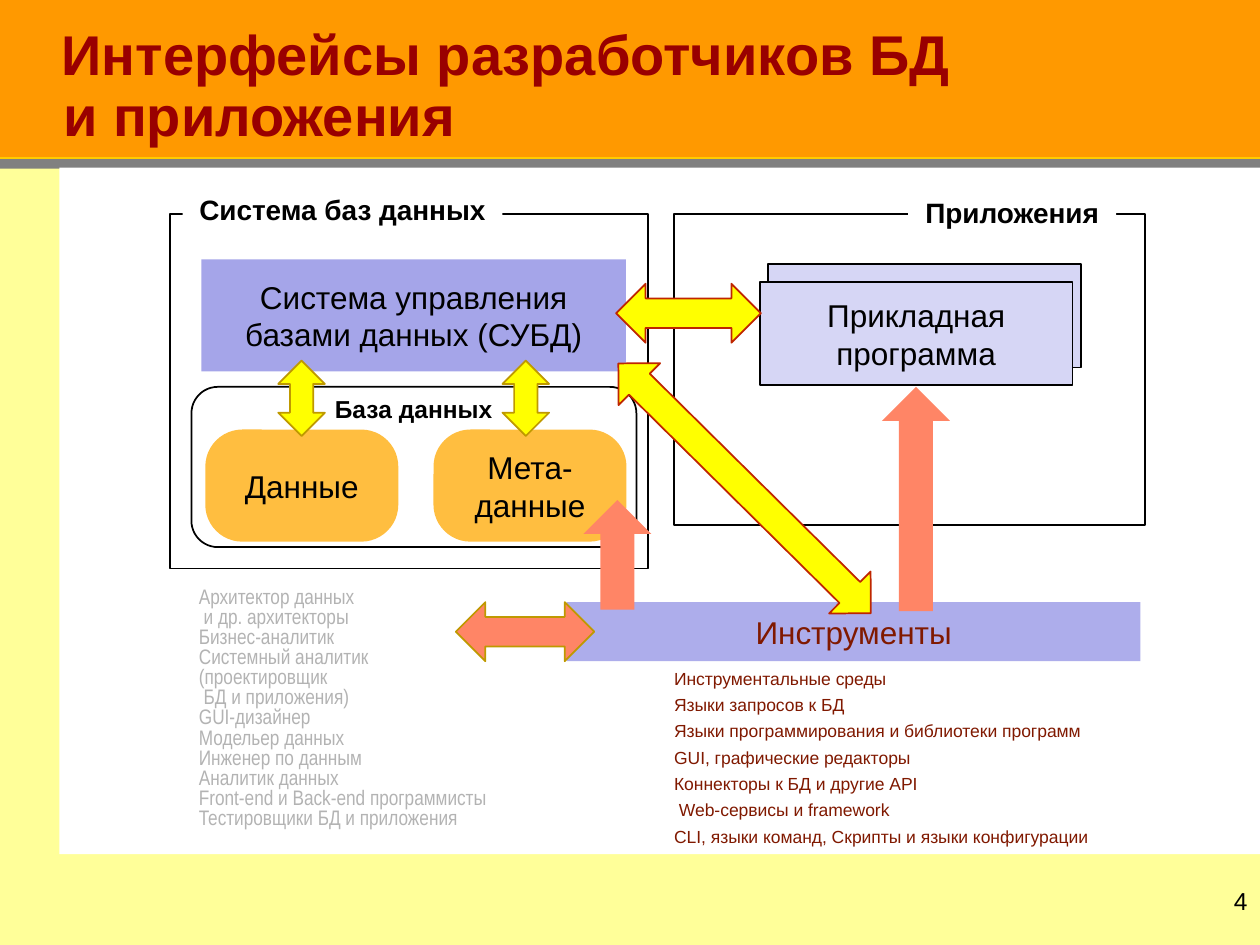
from lxml import etree
from pptx import Presentation
from pptx.dml.color import RGBColor
from pptx.enum.shapes import MSO_CONNECTOR, MSO_SHAPE
from pptx.enum.text import MSO_ANCHOR, MSO_AUTO_SIZE, PP_ALIGN
from pptx.oxml.ns import qn
from pptx.util import Cm, Pt

RECT, ROUND = MSO_SHAPE.RECTANGLE, MSO_SHAPE.ROUNDED_RECTANGLE
UP, TALL, WIDE = (MSO_SHAPE.UP_ARROW, MSO_SHAPE.UP_DOWN_ARROW,
                  MSO_SHAPE.LEFT_RIGHT_ARROW)
LEFT, CENTER, RIGHT = PP_ALIGN.LEFT, PP_ALIGN.CENTER, PP_ALIGN.RIGHT

BLACK = RGBColor(0x00, 0x00, 0x00)
WHITE = RGBColor(0xFF, 0xFF, 0xFF)
ORANGE = RGBColor(0xFF, 0x99, 0x00)
CREAM = RGBColor(0xFF, 0xFF, 0x99)
GRAY = RGBColor(0x80, 0x80, 0x80)
PALE = RGBColor(0xB3, 0xB3, 0xB3)
BACK = RGBColor(0xB2, 0xB2, 0xB2)
GOLD = RGBColor(0xFF, 0xCC, 0x00)
WINE = RGBColor(0x99, 0x00, 0x00)
BROWN = RGBColor(0x80, 0x19, 0x00)
BLUE = RGBColor(0xA5, 0xA5, 0xE9)
LILAC = RGBColor(0xAD, 0xAD, 0xEB)
MIST = RGBColor(0xD6, 0xD6, 0xF5)
AMBER = RGBColor(0xFF, 0xBE, 0x40)
YELLOW = RGBColor(0xFF, 0xFF, 0x00)
OCHRE = RGBColor(0xBF, 0x99, 0x00)
RED = RGBColor(0xBF, 0x26, 0x00)
CORAL = RGBColor(0xFF, 0x85, 0x66)

# Each paragraph is a list of lines
TITLE = [["Интерфейсы разработчиков БД ", "и приложения"]]
ROLES = [
    ["Архитектор данных ", " и др. архитекторы", "Бизнес-аналитик"],
    ["Системный аналитик ", "(проектировщик", " БД и приложения)"],
    ["GUI-дизайнер"],
    ["Модельер данных"],
    ["Инженер по данным"],
    ["Аналитик данных"],
    ["Front-end и Back-end программисты"],
    ["Тестировщики БД и приложения"],
]
TOOLS = [
    ["Инструментальные среды"],
    ["Языки запросов к БД"],
    ["Языки программирования и библиотеки программ"],
    ["GUI, графические редакторы"],
    ["Коннекторы к БД и другие API"],
    [" Web-сервисы и framework"],
    ["CLI, языки команд, Скрипты и языки конфигурации"],
]

# Kind, (left, top, width, height) in cm, fill, line
BANDS = [
    (RECT, (0, 0, 25.4, 3.18), ORANGE, None),
    (RECT, (0, 3.18, 25.4, 15.87), CREAM, None),
    (RECT, (0, 3.2, 25.4, 0.2), GRAY, None),
]
PANEL = (RECT, (1.2, 3.38, 24.2, 13.84), WHITE, None)

# As above, then optional text, size, bold, colour
PARTS = [
    (RECT, (4.06, 5.23, 8.56, 2.26), BLUE, None,
     "Система управления базами данных (СУБД)", 18),
    (ROUND, (4.14, 8.66, 3.89, 2.26), AMBER, None, "Данные", 18),
    (ROUND, (8.74, 8.66, 3.89, 2.26), AMBER, None, "Мета-данные", 18),
    (RECT, (3.43, 4.32, 9.63, 7.14), None, BLACK),
    (RECT, (3.68, 3.76, 6.45, 0.94), WHITE, None, "Система баз данных", 16, True),
    (ROUND, (3.86, 7.8, 8.97, 3.23), None, BLACK),
    (TALL, (5.61, 7.27, 0.94, 1.52), YELLOW, OCHRE),
    (TALL, (10.13, 7.27, 0.94, 1.52), YELLOW, OCHRE),
    (RECT, (6.17, 7.8, 4.34, 0.86), None, None, "База данных", 14, True),
    (RECT, (11.43, 12.14, 11.56, 1.19), LILAC, None, "Инструменты", 18, False, BROWN),
    (RECT, (15.49, 5.33, 6.3, 2.08), MIST, BLACK),
    (RECT, (15.32, 5.69, 6.3, 2.08), MIST, BLACK, "Прикладная программа", 18),
    (RECT, (13.59, 4.32, 9.5, 6.27), None, BLACK),
    (WIDE, (12.42, 5.72, 2.92, 1.19), YELLOW, RED),
    (RECT, (18.31, 3.81, 4.19, 0.94), WHITE, None, "Приложения", 16, True),
    (UP, (17.78, 7.8, 1.37, 4.52), CORAL, None),
    (UP, (11.76, 10.08, 1.37, 2.21), CORAL, None),
    (WIDE, (9.19, 12.14, 2.79, 1.19), CORAL, OCHRE),
]
SLANT = (WIDE, (11.43, 9.25, 7.16, 1.19), YELLOW, RED)
TILT = 44.7
CURVE = 0.33


def write(frame, paras, size, color, bold=False, align=LEFT, face="Arial",
          pitch=1.0, after=0, dent=None):
    """Fill a text frame; dent is (left margin, first-line indent) in cm."""
    frame.word_wrap = True
    for i, lines in enumerate(paras):
        para = frame.paragraphs[0] if i == 0 else frame.add_paragraph()
        para.alignment = align
        para.line_spacing = pitch
        para.space_before, para.space_after = Pt(0), Pt(after)
        if dent:
            props = para._p.get_or_add_pPr()
            props.set("marL", str(Cm(dent[0])))
            props.set("indent", str(Cm(dent[1])))
        for j, line in enumerate(lines):
            if j:
                para.add_line_break()
            run = para.add_run()
            run.text = line
            font = run.font
            font.name, font.size, font.bold = face, Pt(size), bold
            font.color.rgb = color


def draw(slide, kind, box, fill, line, text=None, size=18, bold=False, color=BLACK):
    shape = slide.shapes.add_shape(kind, *map(Cm, box))
    shape.shadow.inherit = False
    if fill is None:
        shape.fill.background()
    else:
        shape.fill.solid()
        shape.fill.fore_color.rgb = fill
    if line is None:
        shape.line.fill.background()
    else:
        shape.line.color.rgb = line
        shape.line.width = Pt(1)
    if kind == ROUND:
        shape.adjustments[0] = CURVE if fill else CURVE / 2
    if text:
        write(shape.text_frame, [[text]], size, color, bold, CENTER)
    return shape


def note(slide, box, paras, size, color, **look):
    frame = slide.shapes.add_textbox(*map(Cm, box)).text_frame
    write(frame, paras, size, color, **look)


def head(slide):
    """Place the title above the bands."""
    title = slide.shapes.title
    title.left, title.top, title.width, title.height = map(Cm, (0, 0.15, 25.4, 2.97))
    title.fill.solid()
    title.fill.fore_color.rgb = ORANGE
    frame = title.text_frame
    frame.auto_size = MSO_AUTO_SIZE.NONE
    frame.vertical_anchor = MSO_ANCHOR.BOTTOM
    write(frame, TITLE, 32, WINE, bold=True, pitch=0.9, dent=(1.02, -0.03))
    slide.shapes._spTree.append(title._element)


def main():
    deck = Presentation()
    deck.slide_width, deck.slide_height = Cm(25.4), Cm(19.05)
    slide = deck.slides.add_slide(deck.slide_layouts[5])
    slide.background.fill.solid()
    slide.background.fill.fore_color.rgb = BACK

    for band in BANDS:
        draw(slide, *band)
    rule = slide.shapes.add_connector(
        MSO_CONNECTOR.STRAIGHT, Cm(0), Cm(3.18), Cm(25.4), Cm(3.18))
    rule.line.color.rgb = GOLD
    rule.line.width = Pt(1)
    etree.SubElement(rule._element.spPr, qn("a:effectLst"))
    draw(slide, *PANEL)
    head(slide)

    for part in PARTS:
        draw(slide, *part)
    draw(slide, *SLANT).rotation = TILT
    note(slide, (3.76, 11.73, 8.05, 5.18), ROLES, 12, PALE,
         face="Arial Narrow", pitch=0.8)
    note(slide, (13.06, 13.34, 10.69, 3.89), TOOLS, 10, BROWN,
         after=3, dent=(0.25, 0.03))
    note(slide, (22.78, 17.73, 2.62, 1.32), [["4"]], 14, BLACK, align=RIGHT)
    deck.save("out.pptx")


if __name__ == "__main__":
    main()
